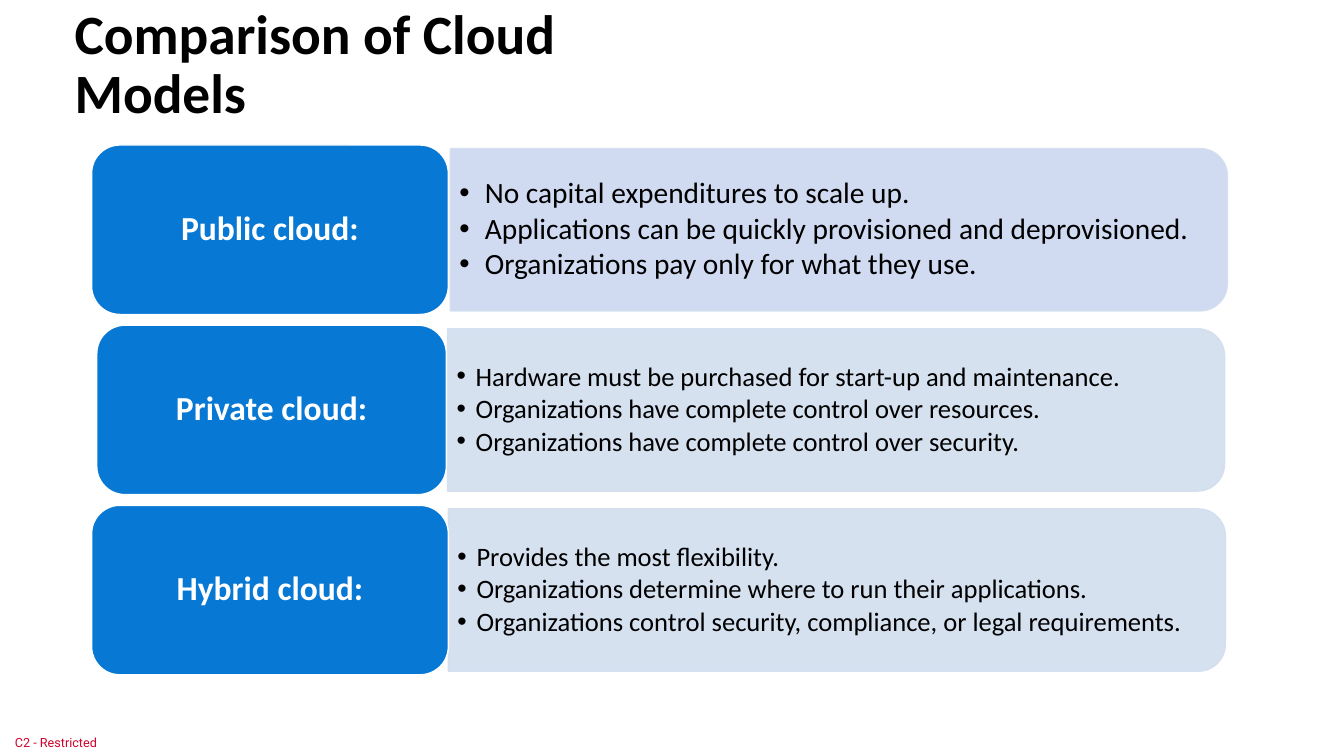
from lxml.etree import SubElement
from pptx import Presentation
from pptx.dml.color import RGBColor
from pptx.enum.shapes import MSO_SHAPE
from pptx.enum.text import MSO_ANCHOR, PP_ALIGN
from pptx.oxml.ns import qn
from pptx.util import Cm, Pt

COLORS = {
    "label": "0778D4",
    "public": "D0DAF1",
    "panel": "D2DEEF",
    "white": "FFFFFF",
    "black": "000000",
    "restricted": "CF022B",
}

MODELS = [
    dict(
        name="Public cloud:", label_left=2.31, label_width=8.99, panel_left=11.35,
        fill="public", alpha=None, size=21, indent=0.64,
        points=[
            "No capital expenditures to scale up.",
            "Applications can be quickly provisioned and deprovisioned.",
            "Organizations pay only for what they use.",
        ],
    ),
    dict(
        name="Private cloud:", label_left=2.44, label_width=8.81, panel_left=11.28,
        fill="panel", alpha=90, size=19, indent=0.48,
        points=[
            "Hardware must be purchased for start-up and maintenance.",
            "Organizations have complete control over resources.",
            "Organizations have complete control over security.",
        ],
    ),
    dict(
        name="Hybrid cloud:", label_left=2.31, label_width=8.99, panel_left=11.3,
        fill="panel", alpha=90, size=19, indent=0.48,
        points=[
            "Provides the most flexibility.",
            "Organizations determine where to run their applications.",
            "Organizations control security, compliance, or legal requirements.",
        ],
    ),
]

FIRST_CENTER, ROW_STEP = 5.79, 4.54
LABEL_HEIGHT = 4.27
PANEL_WIDTH, PANEL_HEIGHT = 19.58, 4.09
LIST_WIDTH, LIST_HEIGHT = 19.38, 3.68


def rgb(name):
    return RGBColor.from_string(COLORS[name])


def set_color(fill, name, alpha=None):
    fill.solid()
    fill.fore_color.rgb = rgb(name)
    if alpha:
        color = fill._xPr.find(".//" + qn("a:srgbClr"))
        SubElement(color, qn("a:alpha"), val=str(alpha * 1000))


def add_bullet(p, indent):
    p.level = 1
    pPr = p._p.get_or_add_pPr()
    pPr.set("marL", str(Cm(indent)))
    pPr.set("indent", str(-Cm(indent)))
    SubElement(pPr, qn("a:buFont"), typeface="Arial")
    SubElement(pPr, qn("a:buChar"), char="•")


def write(sp, *lines, size, color="black", font="Calibri", bold=False,
          align=PP_ALIGN.LEFT, spacing=0.9, after=0, indent=None, insets=(0.25, 0.13)):
    tf = sp.text_frame
    tf.word_wrap = True
    tf.vertical_anchor = MSO_ANCHOR.MIDDLE
    tf.margin_left = tf.margin_right = Cm(insets[0])
    tf.margin_top = tf.margin_bottom = Cm(insets[1])
    for i, line in enumerate(lines):
        p = tf.add_paragraph() if i else tf.paragraphs[0]
        p.alignment = align
        p.line_spacing = spacing
        p.space_after = Pt(after)
        if indent:
            add_bullet(p, indent)
        r = p.add_run()
        r.text = line
        r.font.size = Pt(size)
        r.font.name = font
        r.font.bold = bold
        r.font.color.rgb = rgb(color)


def add_textbox(s, left, top, width, height):
    return s.shapes.add_textbox(Cm(left), Cm(top), Cm(width), Cm(height))


def add_box(s, kind, left, top, width, height, fill, line, alpha=None, line_alpha=None):
    sp = s.shapes.add_shape(kind, Cm(left), Cm(top), Cm(width), Cm(height))
    sp.shadow.inherit = False
    set_color(sp.fill, fill, alpha)
    set_color(sp.line.fill, line, line_alpha)
    sp.line.width = Pt(1)
    return sp


def add_panel(s, model, center):
    left = model["panel_left"] + (PANEL_WIDTH - PANEL_HEIGHT) / 2
    sp = add_box(s, MSO_SHAPE.ROUND_2_SAME_RECTANGLE, left, center - PANEL_WIDTH / 2,
                 PANEL_HEIGHT, PANEL_WIDTH, model["fill"], "panel", model["alpha"], 90)
    sp.rotation = 90
    points = add_textbox(s, model["panel_left"], center - LIST_HEIGHT / 2,
                         LIST_WIDTH, LIST_HEIGHT)
    write(points, *model["points"], size=model["size"], after=2.7,
          indent=model["indent"], insets=(0.23, 0.1))


def add_label(s, model, center):
    sp = add_box(s, MSO_SHAPE.ROUNDED_RECTANGLE, model["label_left"],
                 center - LABEL_HEIGHT / 2, model["label_width"], LABEL_HEIGHT,
                 "label", "white")
    write(sp, model["name"], size=24, color="white", bold=True, align=PP_ALIGN.CENTER)


def main():
    prs = Presentation()
    prs.slide_width, prs.slide_height = Cm(33.87), Cm(19.05)
    s = prs.slides.add_slide(prs.slide_layouts[6])

    write(add_textbox(s, 0, 18.36, 2.82, 0.69), "C2 - Restricted", size=9,
          color="restricted", font="Roboto", align=PP_ALIGN.CENTER, spacing=1.0,
          insets=(0, 0))
    write(add_textbox(s, 1.63, 0.89, 17.2, 1.55), "Comparison of Cloud Models",
          size=39.6, bold=True)

    for i, model in enumerate(MODELS):
        center = FIRST_CENTER + i * ROW_STEP
        add_panel(s, model, center)
        add_label(s, model, center)

    prs.save("out.pptx")


if __name__ == "__main__":
    main()
